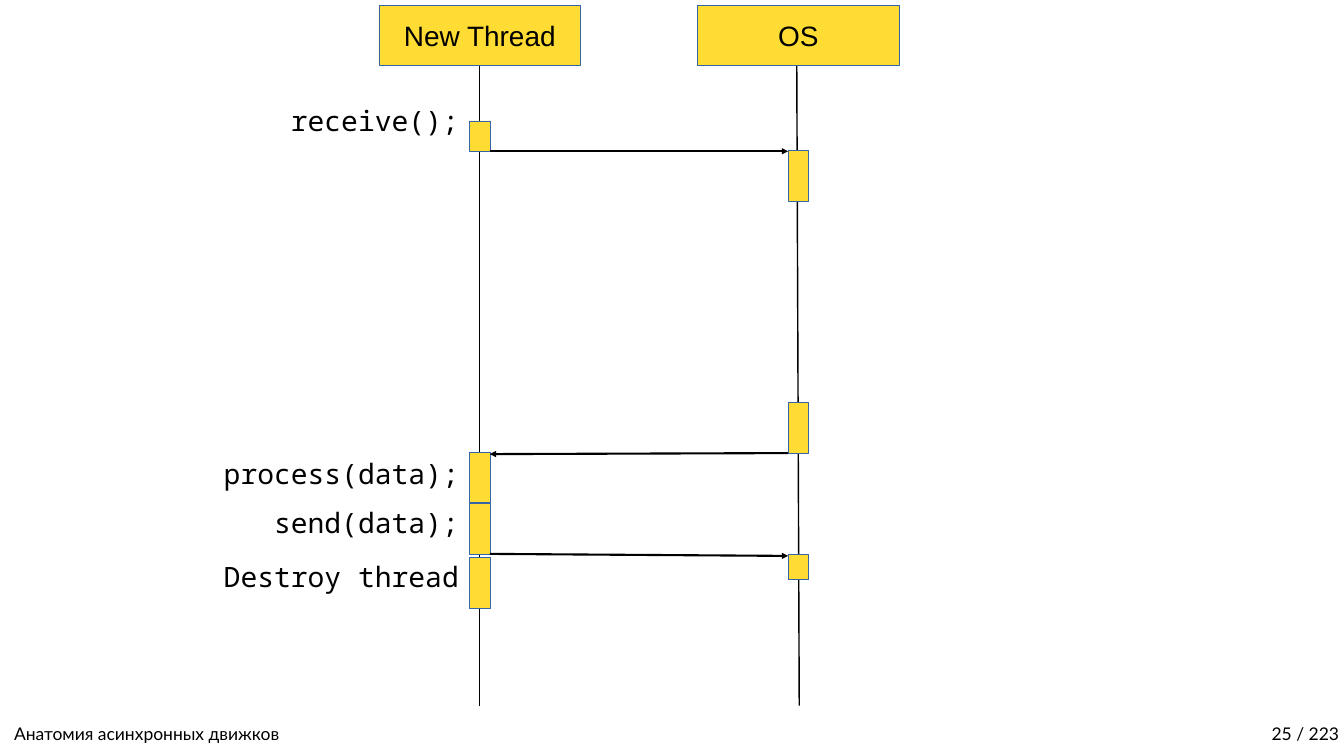
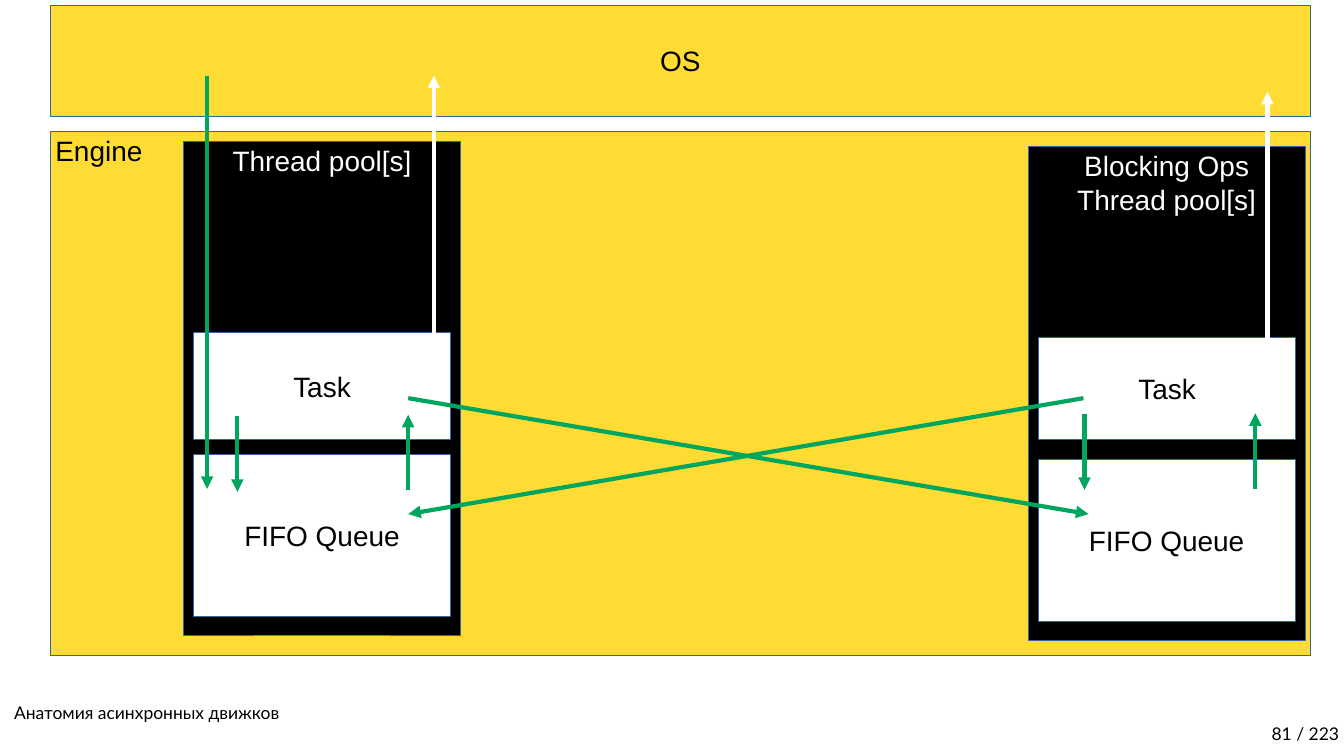
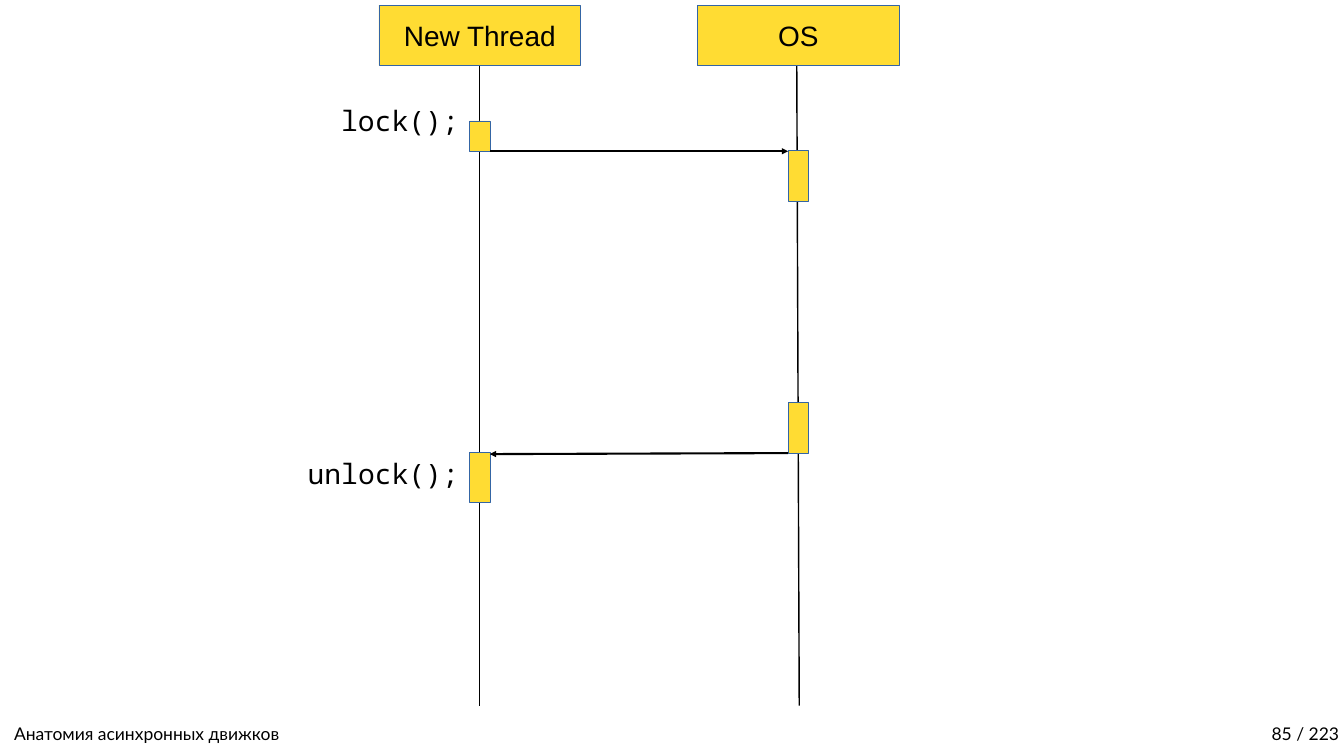
from dataclasses import dataclass

from lxml import etree
from pptx import Presentation
from pptx.dml.color import RGBColor
from pptx.enum.shapes import MSO_CONNECTOR, MSO_SHAPE
from pptx.enum.text import MSO_ANCHOR, PP_ALIGN
from pptx.oxml.ns import qn
from pptx.slide import Slide
from pptx.util import Inches, Pt

RECTANGLE = MSO_SHAPE.RECTANGLE
STRAIGHT = MSO_CONNECTOR.STRAIGHT
TOP, MIDDLE, BOTTOM = MSO_ANCHOR.TOP, MSO_ANCHOR.MIDDLE, MSO_ANCHOR.BOTTOM
LEFT, CENTER, RIGHT = PP_ALIGN.LEFT, PP_ALIGN.CENTER, PP_ALIGN.RIGHT

YELLOW, BLUE, GREEN = "FFDC33", "3465A4", "00A65D"
BLACK, WHITE = "000000", "FFFFFF"
BODY_FONT, CODE_FONT, FOOTER_FONT = "Arial", "Noto Sans Mono", "Lato"
BODY_SIZE, FOOTER_SIZE = 40, 25

FOOTER_TITLE = "Анатомия асинхронных движков"
PAGE_TOTAL = 223
FOOTER_TOP = 14.25

BAR_WIDTH = 0.4
THREAD_BAR_LEFT, OS_BAR_LEFT = 9.32, 15.64
THREAD_EDGE = THREAD_BAR_LEFT + BAR_WIDTH


@dataclass
class Box:
    left: float
    top: float
    width: float
    height: float
    text: str = ""
    fill: str = YELLOW
    color: str = BLACK
    anchor: MSO_ANCHOR = MIDDLE
    align: PP_ALIGN = CENTER


@dataclass
class Line:
    x1: float
    y1: float
    x2: float
    y2: float
    color: str = BLACK
    width: float = 3
    arrow: bool = True


@dataclass
class Call:
    text: str
    label_top: float
    bar_top: float
    bar_height: float = 1


@dataclass
class Pool:
    left: float
    top: float
    title: str
    task_left: float
    task_height: float


def rgb(color: str) -> RGBColor:
    return RGBColor.from_string(color)


def write_text(shape, text: str, font: str, size: float, color: str,
               align: PP_ALIGN, anchor: MSO_ANCHOR, wrap: bool,
               line_spacing: float | None = None) -> None:
    frame = shape.text_frame
    frame.text = text
    frame.word_wrap = wrap
    frame.vertical_anchor = anchor
    for paragraph in frame.paragraphs:
        paragraph.alignment = align
        paragraph.line_spacing = line_spacing
        paragraph.font.name = font
        paragraph.font.size = Pt(size)
        paragraph.font.color.rgb = rgb(color)


def add_box(page: Slide, box: Box) -> None:
    shape = page.shapes.add_shape(RECTANGLE, Inches(box.left), Inches(box.top),
                                  Inches(box.width), Inches(box.height))
    shape.shadow.inherit = False
    shape.fill.solid()
    shape.fill.fore_color.rgb = rgb(box.fill)
    shape.line.color.rgb = rgb(BLUE)
    shape.line.width = Pt(0)
    if box.text:
        write_text(shape, box.text, BODY_FONT, BODY_SIZE, box.color,
                   box.align, box.anchor, wrap=False)


def add_line(page: Slide, line: Line) -> None:
    connector = page.shapes.add_connector(STRAIGHT, Inches(line.x1), Inches(line.y1),
                                          Inches(line.x2), Inches(line.y2))
    connector.line.color.rgb = rgb(line.color)
    connector.line.width = Pt(line.width)
    if line.arrow:
        outline = connector.line._get_or_add_ln()
        etree.SubElement(outline, qn("a:tailEnd"), type="triangle")
    etree.SubElement(connector._element.spPr, qn("a:effectLst"))


def add_footer(page: Slide, number: int, title_top: float = FOOTER_TOP) -> None:
    parts = (
        (0.18, title_top, FOOTER_TITLE, LEFT),
        (15.32, FOOTER_TOP, f"{number} / {PAGE_TOTAL}", RIGHT),
    )
    for left, top, text, align in parts:
        box = page.shapes.add_textbox(Inches(left), Inches(top), Inches(11.35), Inches(0.56))
        write_text(box, text, FOOTER_FONT, FOOTER_SIZE, BLACK, align, BOTTOM,
                   wrap=True, line_spacing=0.9)


def add_page(deck) -> Slide:
    blank_layout = deck.slide_layouts[6]
    return deck.slides.add_slide(blank_layout)


def add_sequence_page(deck, number: int, calls: list[Call],
                      os_bars: list[tuple[float, float]], messages: list[Line]) -> None:
    page = add_page(deck)
    # Lifelines and their heads
    add_line(page, Line(9.52, 0.3, 9.52, 14, width=0, arrow=False))
    add_line(page, Line(15.81, 1, 15.86, 14, width=0, arrow=False))
    add_footer(page, number)
    add_box(page, Box(7.52, 0.1, 4, 1.2, "New Thread"))
    add_box(page, Box(13.84, 0.1, 4, 1.2, "OS"))
    # Activity bars and messages
    for top, height in os_bars:
        add_box(page, Box(OS_BAR_LEFT, top, BAR_WIDTH, height))
    for call in calls:
        add_box(page, Box(THREAD_BAR_LEFT, call.bar_top, BAR_WIDTH, call.bar_height))
    for message in messages:
        add_line(page, message)
    # Call labels
    for call in calls:
        label = page.shapes.add_textbox(Inches(3), Inches(call.label_top),
                                        Inches(6.2), Inches(1))
        write_text(label, call.text, CODE_FONT, BODY_SIZE, BLACK, RIGHT, TOP, wrap=True)


def add_pool(page: Slide, pool: Pool) -> None:
    add_box(page, Box(pool.left, pool.top, 5.5, 9.8, pool.title, BLACK, WHITE, TOP))
    add_box(page, Box(pool.left + 0.2, pool.top + 6.22, 5.1, 3.2, "FIFO Queue", WHITE))
    add_box(page, Box(pool.task_left, pool.top + 3.8, 5.1, pool.task_height, "Task", WHITE))


def add_engine_page(deck) -> None:
    page = add_page(deck)
    add_footer(page, 81, title_top=13.85)
    # Layers and thread pools
    add_box(page, Box(1, 0.1, 25, 2.2, "OS"))
    add_box(page, Box(1, 2.6, 25, 10.4, "Engine", anchor=TOP, align=LEFT))
    add_pool(page, Pool(20.4, 2.9, "Blocking Ops\nThread pool[s]", 20.61, 2.02))
    add_pool(page, Pool(3.64, 2.8, "Thread pool[s]", 3.84, 2.12))
    # Flows between tasks and queues
    queue_flows = (
        (4.71, 8.26, 4.71, 9.76),
        (8.1, 9.73, 8.1, 8.23),
        (21.52, 8.22, 21.52, 9.72),
        (24.91, 9.7, 24.91, 8.2),
        (8.1, 7.9, 21.6, 10.2),
        (21.5, 7.9, 8.1, 10.2),
        (4.11, 1.5, 4.11, 9.7),
    )
    system_calls = ((8.61, 7.4, 8.61, 1.5), (25.15, 7.7, 25.15, 1.82))
    for color, flows in ((GREEN, queue_flows), (WHITE, system_calls)):
        for ends in flows:
            add_line(page, Line(*ends, color=color, width=6))


def main() -> None:
    deck = Presentation()
    deck.slide_width, deck.slide_height = Inches(26.67), Inches(15)

    # The request and its answer, shared by both sequences
    os_bars = [(2.99, 1), (7.99, 1)]
    messages = [Line(THREAD_EDGE, 3, OS_BAR_LEFT, 3),
                Line(OS_BAR_LEFT, 8.99, THREAD_EDGE, 9.01)]

    add_sequence_page(
        deck, 25,
        [Call("receive();", 2, 2.4, 0.6),
         Call("process(data);", 9.01, 8.97),
         Call("send(data);", 9.99, 9.99),
         Call("Destroy thread", 11.06, 11.06)],
        os_bars + [(11, 0.5)],
        messages + [Line(THREAD_EDGE, 10.99, OS_BAR_LEFT, 11.03)])
    add_engine_page(deck)
    add_sequence_page(
        deck, 85,
        [Call("lock();", 2, 2.4, 0.6), Call("unlock();", 9.01, 8.97)],
        os_bars, messages)

    deck.save("out.pptx")


if __name__ == "__main__":
    main()
